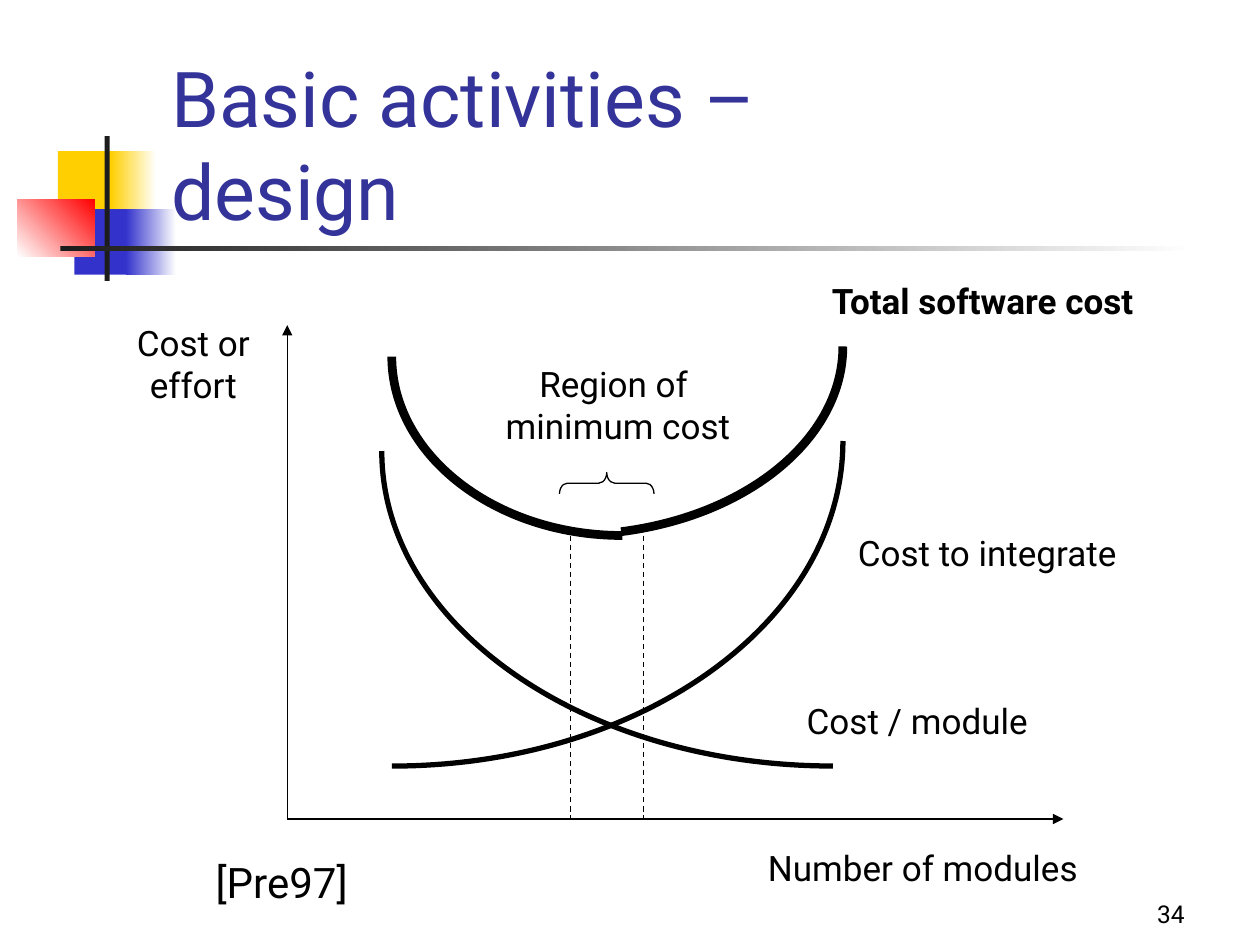
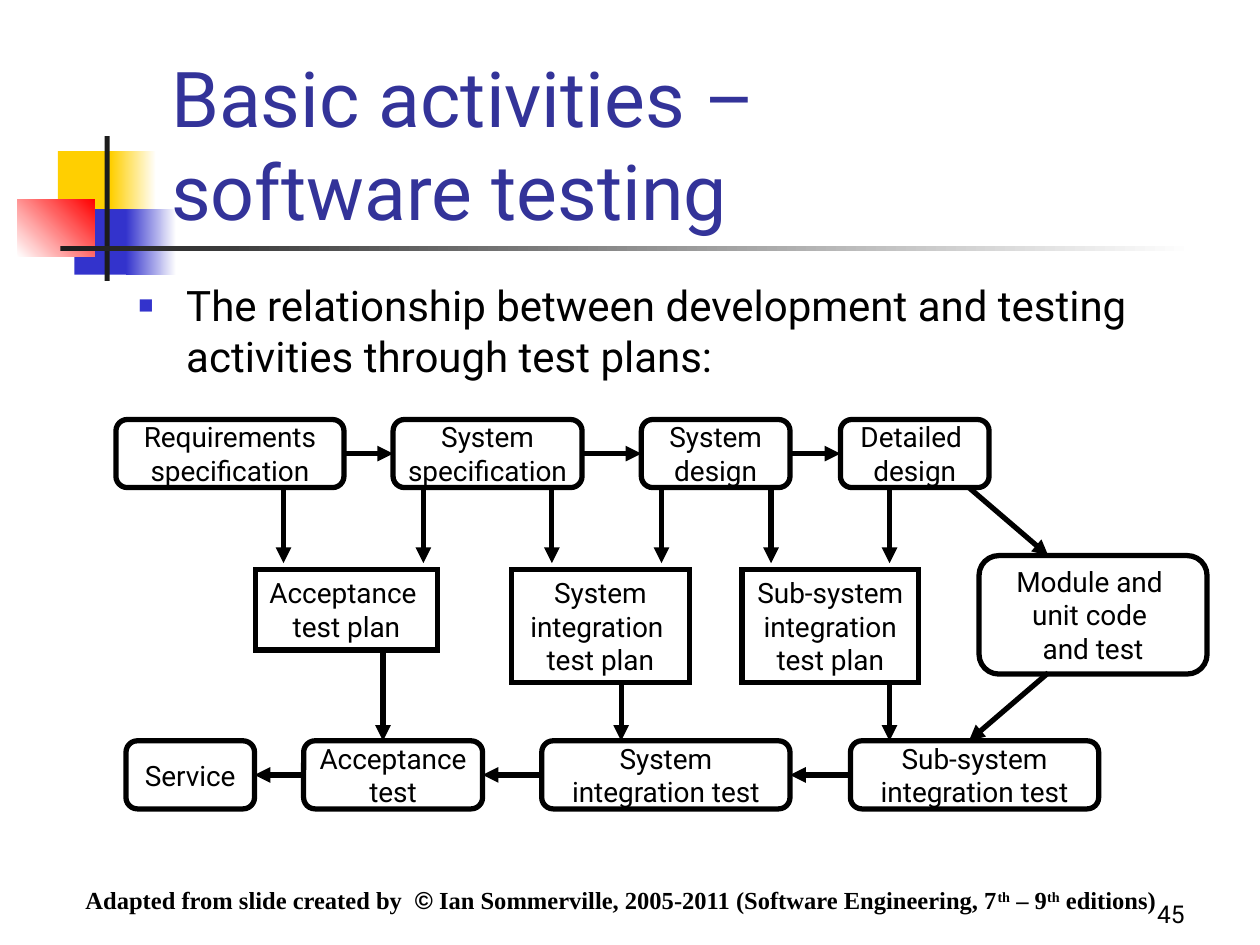
from lxml.etree import SubElement
from pptx import Presentation
from pptx.dml.color import RGBColor
from pptx.enum.dml import MSO_LINE
from pptx.enum.shapes import MSO_CONNECTOR, MSO_SHAPE
from pptx.enum.text import MSO_ANCHOR, PP_ALIGN
from pptx.oxml.ns import qn
from pptx.util import Inches, Pt

color = RGBColor.from_string
BLACK, NAVY, BLUE, YELLOW = "000000", "333399", "3333CC", "FFCF01"
RED, GRAPHITE, WHITE = "FF0000", "1C1C1C", "FFFFFF"
FONT = "Roboto"

# The slide is a grid of 10 columns by 7.5 rows, one inch each
deck = Presentation()
deck.slide_width, deck.slide_height = Inches(10), Inches(7.5)


def write(shape, text, size=20, tint=BLACK, bold=False, align=PP_ALIGN.CENTER,
          anchor=MSO_ANCHOR.TOP, wrap=False):
    """Fill a shape with one paragraph per line of text."""
    frame = shape.text_frame
    frame.word_wrap, frame.vertical_anchor = wrap, anchor
    frame.text = text
    for para in frame.paragraphs:
        para.alignment = align
        for span in para.runs:
            span.font.name, span.font.size = FONT, Pt(size)
            span.font.bold, span.font.color.rgb = bold, color(tint)


def connect(page, start, end, width=3.0, dash=None, arrow=True):
    """Draw a straight line between two grid points."""
    link = page.shapes.add_connector(MSO_CONNECTOR.STRAIGHT, *map(Inches, start + end))
    link.line.color.rgb, link.line.width = color(BLACK), Pt(width)
    if dash:
        link.line.dash_style = dash
    if arrow:
        SubElement(link.line._get_or_add_ln(), qn("a:tailEnd"), type="triangle")
    SubElement(link._element.spPr, qn("a:effectLst"))
    return link


# Shared parts: ornament, title and page number
ORNAMENT = [  # left, top, width, height, colour, gradient end, angle
    (0.46, 1.2, 0.48, 0.52, YELLOW, None, 0),
    (0.88, 1.2, 0.36, 0.52, YELLOW, WHITE, 0),
    (0.59, 1.66, 0.46, 0.52, BLUE, None, 0),
    (1, 1.66, 0.4, 0.52, BLUE, WHITE, 0),
    (0.14, 1.58, 0.61, 0.46, WHITE, RED, 45),
    (0.83, 1.08, 0.04, 1.15, GRAPHITE, None, 0),
    (0.48, 1.95, 9, 0.04, GRAPHITE, WHITE, 0),
]
for title, number in (("design", 34), ("software testing", 45)):
    page = deck.slides.add_slide(deck.slide_layouts[6])
    for *place, first, last, angle in ORNAMENT:
        block = page.shapes.add_shape(MSO_SHAPE.RECTANGLE, *map(Inches, place))
        block.shadow.inherit = False
        block.line.fill.background()
        if last:
            block.fill.gradient()
            block.fill.gradient_angle = angle
            for stop, tint in zip(block.fill.gradient_stops, (first, last)):
                stop.color.rgb = color(tint)
        else:
            block.fill.solid()
            block.fill.fore_color.rgb = color(first)
    box = page.shapes.add_textbox(*map(Inches, (1.26, 0.67, 8.52, 1.25)))
    write(box, f"Basic activities –\v{title}", size=44, tint=NAVY,
          align=PP_ALIGN.LEFT, anchor=MSO_ANCHOR.BOTTOM, wrap=True)
    box = page.shapes.add_textbox(*map(Inches, (7.42, 6.92, 2.08, 0.5)))
    write(box, str(number), size=14, align=PP_ALIGN.RIGHT,
          anchor=MSO_ANCHOR.BOTTOM, wrap=True)

design, testing = deck.slides

# Cost chart: axes and limits of the minimum region
origin = (2.28, 6.5)
for end in ((2.28, 2.58), (8.44, 6.5)):
    connect(design, origin, end, width=0.75)
for x in (4.53, 5.11):
    connect(design, (x, 4.25), (x, 6.5), width=0.75, dash=MSO_LINE.DASH, arrow=False)

# Cost curves: one Bézier segment from the low point to the high point
CURVES = [  # low point, two handles, high point, line width
    ((6.61, 6.08), (4.63, 6.08), (3.03, 4.96), (3.03, 3.58), 3),
    ((3.11, 6.08), (5.09, 6.08), (6.69, 4.93), (6.69, 3.5), 3),
    ((4.93, 4.22), (5.95, 4.09), (6.69, 3.47), (6.69, 2.75), 5),
    ((4.94, 4.25), (3.93, 4.25), (3.11, 3.61), (3.11, 2.83), 5),
]
for *points, width in CURVES:
    low, *others = [tuple(map(Inches, point)) for point in points]
    outline = design.shapes.build_freeform(*low)
    outline.add_line_segments(others, close=False)
    curve = outline.convert_to_shape()
    track = curve._element.find(".//" + qn("a:path"))
    straights = track.findall(qn("a:lnTo"))
    bend = SubElement(track, qn("a:cubicBezTo"))
    for straight in straights:
        bend.append(straight[0])
        track.remove(straight)
    curve.shadow.inherit = False
    curve.fill.background()
    curve.line.color.rgb, curve.line.width = color(BLACK), Pt(width)

# Brace over the minimum region
brace = design.shapes.add_shape(MSO_SHAPE.LEFT_BRACE, *map(Inches, (4.73, 3.46, 0.17, 0.75)))
brace.rotation, brace.adjustments[0] = 90, 0.37
brace.shadow.inherit = False
brace.fill.background()
brace.line.color.rgb, brace.line.width = color(BLACK), Pt(0.75)

# Chart labels
for text, place, style in (
    ("Total software cost", (6.37, 2.17, 2.86, 0.44), {"bold": True}),
    ("Number of modules", (5.91, 6.67, 2.83, 0.44), {}),
    ("Cost or\neffort", (0.97, 2.5, 1.13, 0.77), {}),
    ("Cost to integrate", (6.64, 4.17, 2.39, 0.44), {}),
    ("Cost / module", (6.27, 5.5, 2.02, 0.44), {}),
    ("Region of \nminimum cost", (3.87, 2.83, 2.07, 0.77), {}),
    ("[Pre97]", (1.57, 6.75, 1.33, 0.5), {"size": 24}),
):
    write(design.shapes.add_textbox(*map(Inches, place)), text, **style)

# Bulleted introduction
box = testing.shapes.add_textbox(*map(Inches, (1, 2.17, 8.5, 0.92)))
write(box, "The relationship between development and testing activities through test plans:",
      size=24, align=PP_ALIGN.LEFT, wrap=True)
props = box.text_frame.paragraphs[0]._p.get_or_add_pPr()
props.set("marL", str(Inches(0.38)))
props.set("indent", str(-Inches(0.38)))
SubElement(SubElement(props, qn("a:buClr")), qn("a:srgbClr"), val=BLUE)
SubElement(props, qn("a:buSzPct"), val="60000")
SubElement(props, qn("a:buFont"), typeface="Arial")
SubElement(props, qn("a:buChar"), char="■")

# Rows of the flow: shape, top, boxes as text, left, width, height
ROUND, PLAIN = MSO_SHAPE.ROUNDED_RECTANGLE, MSO_SHAPE.RECTANGLE
SPEC_TOP, PLAN_TOP, TEST_TOP, LOW = 3.33, 4.52, 5.88, 0.54
ROWS = [
    (ROUND, SPEC_TOP, [("Requirements\nspecification", 0.92, 1.81, LOW),
                       ("System\nspecification", 3.12, 1.5, LOW),
                       ("System\ndesign", 5.09, 1.18, LOW),
                       ("Detailed \ndesign", 6.67, 1.18, LOW)]),
    (ROUND, TEST_TOP, [("Sub-system\nintegration test", 6.75, 1.97, LOW),
                       ("System\nintegration test", 4.3, 1.97, LOW),
                       ("Acceptance\ntest", 2.41, 1.42, LOW),
                       ("Service", 1, 1.02, LOW)]),
    (PLAIN, PLAN_TOP, [("Acceptance \ntest plan", 2.03, 1.44, 0.64),
                       ("System\nintegration \ntest plan", 4.06, 1.41, 0.9),
                       ("Sub-system\nintegration\ntest plan", 5.89, 1.4, 0.9)]),
    (ROUND, 4.41, [("Module and \nunit code \nand test", 7.77, 1.81, 0.94)]),
]
flow = []
for kind, top, cells in ROWS:
    flow.append([])
    for text, left, width, height in cells:
        box = testing.shapes.add_shape(kind, *map(Inches, (left, top, width, height)))
        box.shadow.inherit = False
        box.fill.background()
        box.line.color.rgb, box.line.width = color(BLACK), Pt(3)
        if kind == PLAIN:
            SubElement(box.line._get_or_add_ln(), qn("a:miter"), lim="800000")
        write(box, text, size=16,
              anchor=MSO_ANCHOR.MIDDLE if kind == ROUND else MSO_ANCHOR.TOP)
        flow[-1].append(box)

# Arrows along the rows: specifications run right, tests run left
for row, leave, enter in ((flow[0], 3, 1), (flow[1], 1, 3)):
    for before, after in zip(row, row[1:]):
        link = connect(testing, (0, 0), (1, 1))
        link.begin_connect(before, leave)
        link.end_connect(after, enter)

# Arrows between the rows
for x in (2.25, 3.36, 4.38, 5.25, 6.12, 7.06):
    connect(testing, (x, SPEC_TOP + LOW), (x, 4.47))
for x, y in ((3.04, 5.14), (4.93, 5.41), (7.06, 5.41)):
    connect(testing, (x, y), (x, TEST_TOP))
connect(testing, (7.69, SPEC_TOP + LOW), (8.32, 4.41))
connect(testing, (8.32, 5.34), (7.69, TEST_TOP))

# Credit line
box = testing.shapes.add_textbox(*map(Inches, (0.58, 7, 9.17, 0.31)))
box.text_frame.word_wrap = True
para = box.text_frame.paragraphs[0]
para.line_spacing = 0.9
for text in ("Adapted from slide created by  ", "©",
             " Ian Sommerville, 2005-2011 (Software Engineering, 7", "th",
             " – 9", "th", " editions)"):
    span = para.add_run()
    span.text = text
    span.font.name = "Arial" if text == "©" else "Times New Roman"
    span.font.size, span.font.bold = Pt(14), True
    span.font.color.rgb = color(BLACK)
    if text == "th":
        span.font._rPr.set("baseline", "30000")

deck.save("out.pptx")
